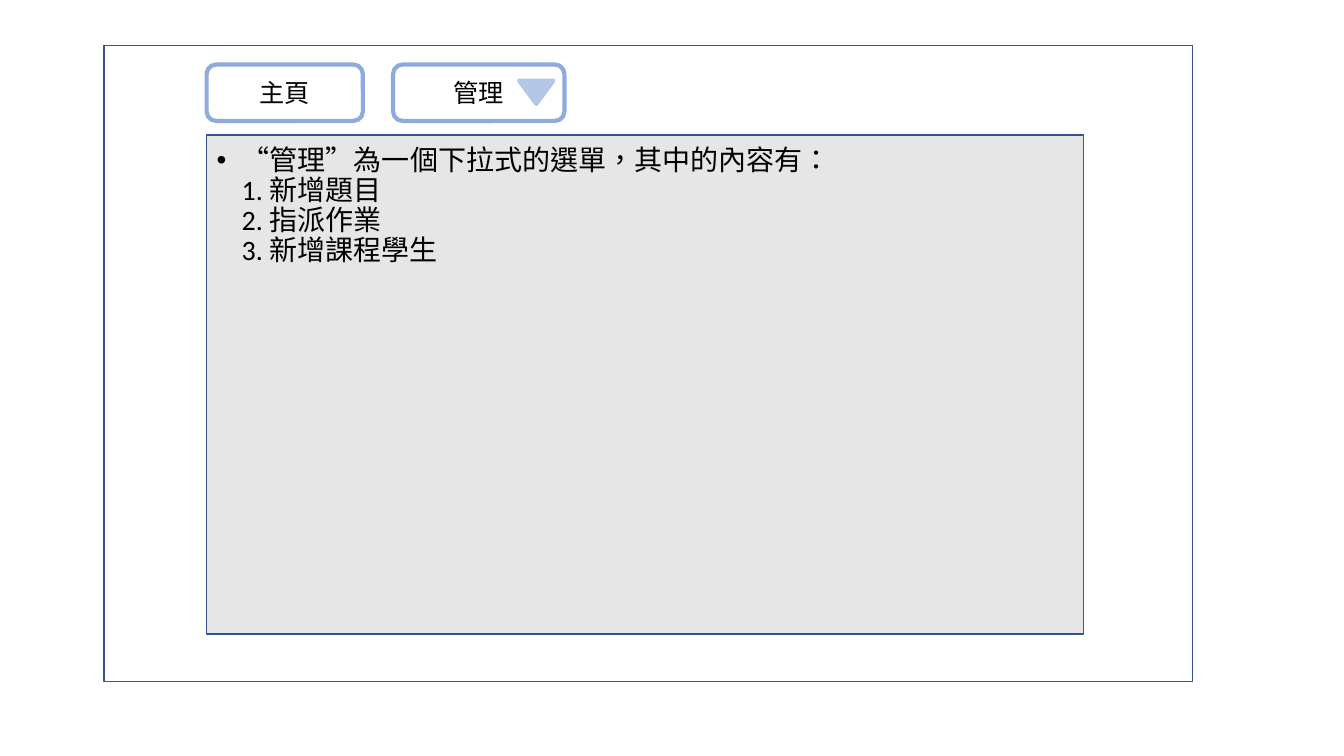
from pptx import Presentation
from pptx.dml.color import RGBColor as RGB
from pptx.enum.shapes import MSO_SHAPE as Kind
from pptx.enum.text import MSO_ANCHOR as Anchor, PP_ALIGN as Align
from pptx.oxml.ns import qn
from pptx.util import Pt
from lxml.etree import SubElement as Sub

HUES = {"white": "FFFFFF", "grey": "E7E6E6", "navy": "325491",
        "blue": "8FAADC", "pale": "B4C7E7", "ink": "000000"}
ITEMS = ["新增題目", "指派作業", "新增課程學生"]


class Page:
    def __init__(self, slide):
        self.slide = slide
        self.font = "Calibri"

    def hue(self, name):
        return RGB.from_string(HUES[name])

    def shape(self, kind, area, fill, line, width):
        box = self.slide.shapes.add_shape(kind, *map(Pt, area))
        box.shadow.inherit = False
        if fill:
            box.fill.solid()
            box.fill.fore_color.rgb = self.hue(fill)
        else:
            box.fill.background()
        box.line.color.rgb = self.hue(line)
        box.line.width = Pt(width)
        return box

    def run(self, para, text, size, font=None):
        run = para.add_run()
        run.text = text
        run.font.size = Pt(size)
        run.font.name = font or self.font
        run.font.color.rgb = self.hue("ink")
        run._r.get_or_add_rPr().set("lang", "zh-TW")

    def button(self, text, left, width, fill):
        area = (left, 46.1, width, 40.3)
        box = self.shape(Kind.ROUNDED_RECTANGLE, area, fill, "blue", 3)
        box.text_frame.vertical_anchor = Anchor.MIDDLE
        para = box.text_frame.paragraphs[0]
        para.alignment = Align.CENTER
        self.run(para, text, 18)

    def bullet(self, area):
        """Add a text box with one bulleted paragraph and return the paragraph."""
        frame = self.slide.shapes.add_textbox(*map(Pt, area)).text_frame
        frame.word_wrap = True
        para = frame.paragraphs[0]
        para.line_spacing = 0.9
        para.space_before = Pt(10)
        props = para._p.get_or_add_pPr()
        props.set("marL", str(Pt(18)))
        props.set("indent", str(-Pt(18)))
        Sub(props, qn("a:buFont")).set("typeface", "Arial")
        Sub(props, qn("a:buChar")).set("char", "•")
        return para


def main():
    deck = Presentation()
    deck.slide_width, deck.slide_height = Pt(960), Pt(540)
    page = Page(deck.slides.add_slide(deck.slide_layouts[6]))

    page.shape(Kind.RECTANGLE, (74.2, 32.4, 777.6, 454.3), "white", "navy", 1)
    page.shape(Kind.RECTANGLE, (147.6, 96.5, 626.4, 356.4), "grey", "navy", 1)

    para = page.bullet((147.6, 100.8, 626.4, 342.7))
    page.run(para, "“管理”", 20, "Arial")
    page.run(para, "為一個下拉式的選單，其中的內容有：", 20)
    for num, item in enumerate(ITEMS, 1):
        para.add_line_break()
        page.run(para, f"{num}. {item}", 20)

    page.button("主頁", 147.6, 111.6, None)
    page.button("管理", 280.8, 122.4, "white")
    arrow = page.shape(Kind.FLOWCHART_EXTRACT, (370.8, 57.6, 24.5, 16.6),
                       "pale", "pale", 3)
    arrow.rotation = 180
    deck.save("out.pptx")


if __name__ == "__main__":
    main()
